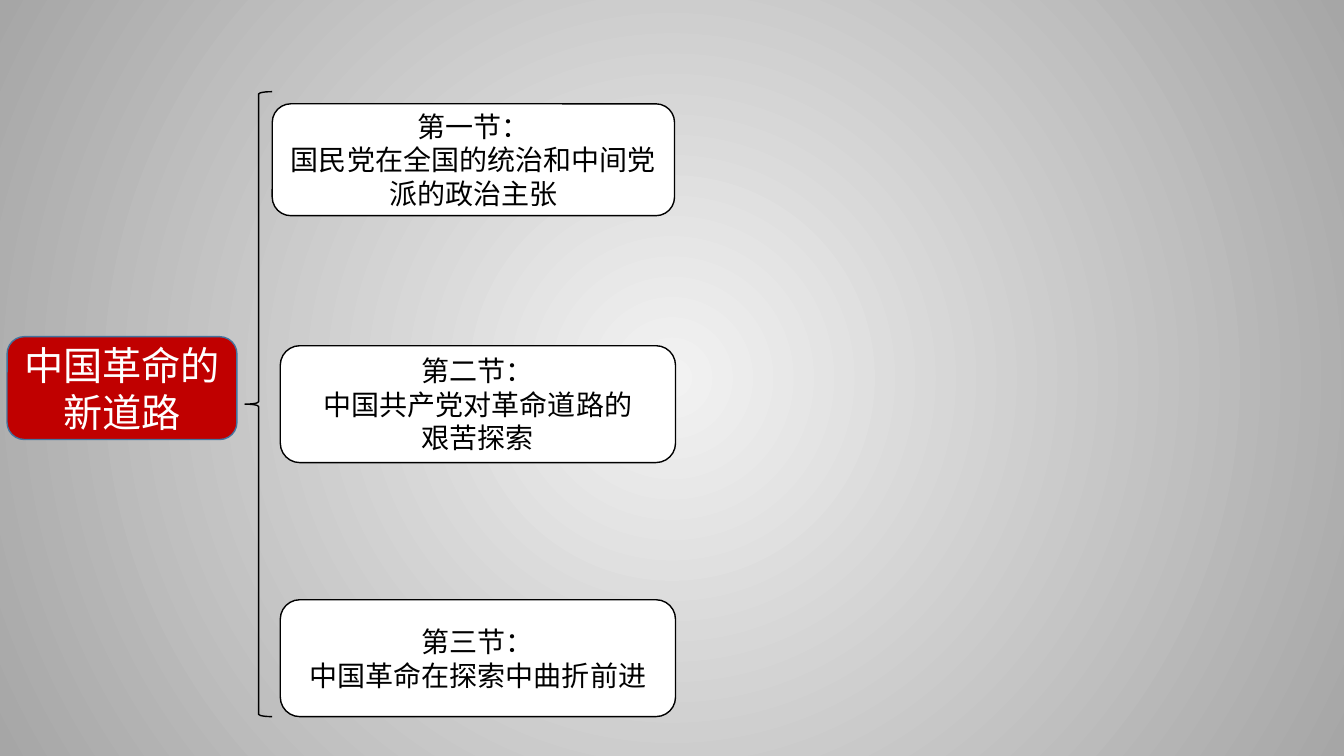
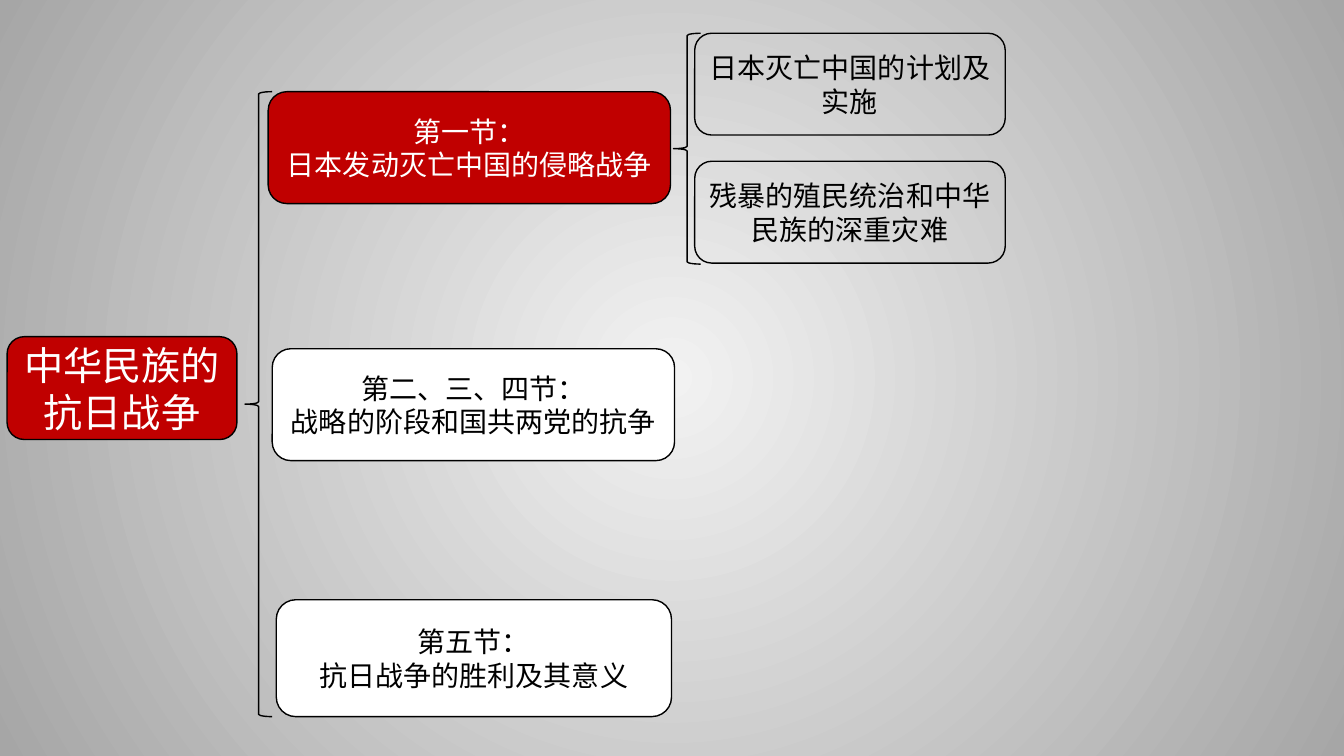
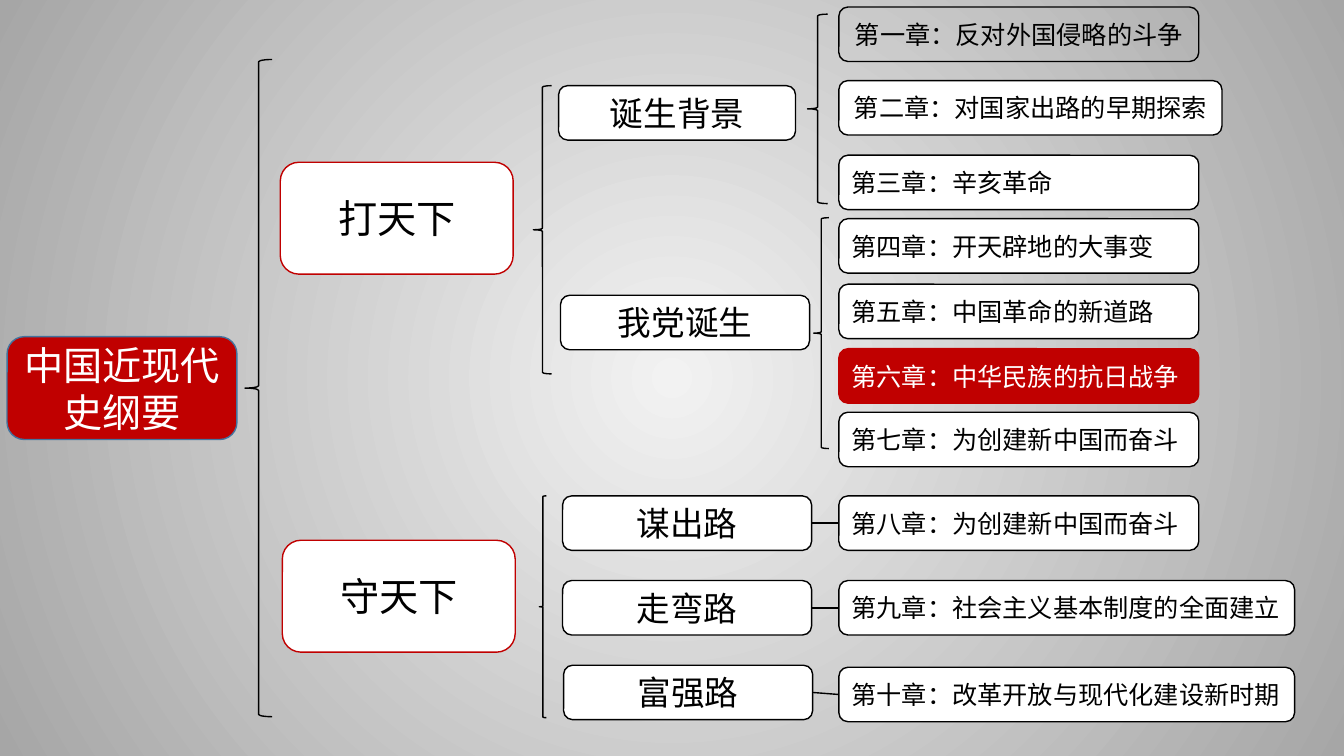
from dataclasses import dataclass, replace
from typing import NamedTuple, Optional

from lxml.etree import SubElement
from pptx import Presentation
from pptx.dml.color import RGBColor
from pptx.enum.shapes import MSO_CONNECTOR, MSO_SHAPE
from pptx.enum.text import MSO_ANCHOR, PP_ALIGN
from pptx.oxml.ns import qn
from pptx.presentation import Presentation as Deck
from pptx.shapes.autoshape import Shape
from pptx.slide import Slide
from pptx.util import Emu, Pt

EMU_PER_PX = 9144
SLIDE_WIDTH, SLIDE_HEIGHT = 1333, 750
FONT = "Noto Sans CJK SC"

BLACK = RGBColor(0x00, 0x00, 0x00)
WHITE = RGBColor(0xFF, 0xFF, 0xFF)
RED = RGBColor(0xC0, 0x00, 0x00)
STEEL = RGBColor(0x43, 0x73, 0x9E)
GLOW = RGBColor(0xF2, 0xF2, 0xF2)
GREY = RGBColor(0xA6, 0xA6, 0xA6)


@dataclass(frozen=True)
class Style:
    size: int
    fill: Optional[RGBColor] = WHITE
    outline: RGBColor = BLACK
    ink: RGBColor = BLACK
    align: PP_ALIGN = PP_ALIGN.CENTER


ROOT = Style(28, RED, STEEL, WHITE)
ROOT_BLACK = replace(ROOT, outline=BLACK)
ERA = Style(28, outline=RED)
STAGE = Style(24)
SECTION = Style(20)
SECTION_ACTIVE = replace(SECTION, fill=RED, ink=WHITE)
TOPIC = replace(SECTION, fill=None)
CHAPTER_CENTERED = Style(18)
CHAPTER_CLEAR = replace(CHAPTER_CENTERED, fill=None)
CHAPTER = replace(CHAPTER_CENTERED, align=PP_ALIGN.LEFT)
CHAPTER_ACTIVE = replace(CHAPTER, fill=RED, outline=RED, ink=WHITE)


class Box(NamedTuple):
    text: str
    left: int
    top: int
    width: int
    height: int
    style: Style


class Brace(NamedTuple):
    left: int
    top: int
    width: int
    height: int


class Link(NamedTuple):
    source: str
    target: str


class Diagram(NamedTuple):
    braces: list[Brace]
    boxes: list[Box]
    links: list[Link]


def root(text: str, style: Style = ROOT) -> Box:
    return Box(text, 7, 334, 228, 102, style)


def stage(text: str, left: int, top: int, width: int = 247) -> Box:
    return Box(text, left, top, width, 54, STAGE)


def chapter(text: str, top: int, width: int = 357, style: Style = CHAPTER) -> Box:
    return Box(text, 832, top, width, 54, style)


SECTION_BRACE = Brace(243, 91, 27, 620)

NEW_ROAD = Diagram(
    [SECTION_BRACE],
    [
        root("中国革命的新道路"),
        Box("第一节：\n国民党在全国的统治和中间党派的政治主张", 270, 103, 399, 111, SECTION),
        Box("第二节：\n中国共产党对革命道路的\n艰苦探索", 278, 343, 392, 116, SECTION),
        Box("第三节：\n中国革命在探索中曲折前进", 278, 595, 392, 116, SECTION),
    ],
    [],
)

WAR = Diagram(
    [SECTION_BRACE, Brace(668, 33, 27, 229)],
    [
        root("中华民族的抗日战争", ROOT_BLACK),
        Box("第一节：\n日本发动灭亡中国的侵略战争", 266, 91, 399, 111, SECTION_ACTIVE),
        Box("第二、三、四节：\n战略的阶段和国共两党的抗争", 270, 346, 399, 111, SECTION),
        Box("第五节：\n抗日战争的胜利及其意义", 274, 595, 392, 116, SECTION),
        Box("日本灭亡中国的计划及实施", 689, 33, 308, 101, TOPIC),
        Box("残暴的殖民统治和中华民族的深重灾难", 689, 160, 308, 101, TOPIC),
    ],
    [],
)

OUTLINE = Diagram(
    [
        Brace(243, 59, 27, 652),
        Brace(529, 85, 18, 286),
        Brace(535, 492, 7, 220),
        Brace(801, 14, 20, 188),
        Brace(807, 216, 15, 229),
    ],
    [
        root("中国近现代史纲要"),
        Box("打天下", 278, 161, 231, 111, ERA),
        Box("守天下", 280, 536, 231, 111, ERA),
        stage("诞生背景", 554, 85, 235),
        stage("我党诞生", 556, 293),
        stage("谋出路", 558, 492),
        stage("走弯路", 558, 576),
        stage("富强路", 559, 660),
        chapter("第一章：反对外国侵略的斗争", 7, style=CHAPTER_CLEAR),
        chapter("第二章：对国家出路的早期探索", 80, 380, CHAPTER_CENTERED),
        chapter("第三章：辛亥革命", 154),
        chapter("第四章：开天辟地的大事变", 217),
        chapter("第五章：中国革命的新道路", 282),
        chapter("第六章：中华民族的抗日战争", 346, style=CHAPTER_ACTIVE),
        chapter("第七章：为创建新中国而奋斗", 409),
        chapter("第八章：为创建新中国而奋斗", 492),
        chapter("第九章：社会主义基本制度的全面建立", 576, 452),
        chapter("第十章：改革开放与现代化建设新时期", 662, 452),
    ],
    [
        Link("谋出路", "第八章：为创建新中国而奋斗"),
        Link("走弯路", "第九章：社会主义基本制度的全面建立"),
        Link("富强路", "第十章：改革开放与现代化建设新时期"),
    ],
)


def px(length: int) -> Emu:
    return Emu(length * EMU_PER_PX)


def paint_background(presentation: Deck) -> None:
    master = presentation.slide_master
    fill = master.background.fill
    fill.gradient()
    for stop, position, color in zip(fill.gradient_stops, (0, 1), (GLOW, GREY)):
        stop.position = position
        stop.color.rgb = color
    gradient = master.element.find(".//" + qn("p:bgPr")).find(qn("a:gradFill"))
    gradient.remove(gradient.find(qn("a:lin")))
    circle = SubElement(gradient, qn("a:path"), {"path": "circle"})
    SubElement(circle, qn("a:fillToRect"), dict.fromkeys("ltrb", "50000"))


def add_outlined(slide: Slide, kind: MSO_SHAPE, item: Box | Brace,
                 fill: Optional[RGBColor], outline: RGBColor) -> Shape:
    shape = slide.shapes.add_shape(
        kind, px(item.left), px(item.top), px(item.width), px(item.height))
    shape.shadow.inherit = False
    if fill is None:
        shape.fill.background()
    else:
        shape.fill.solid()
        shape.fill.fore_color.rgb = fill
    shape.line.color.rgb = outline
    shape.line.width = Pt(1)
    return shape


def draw_box(slide: Slide, box: Box) -> Shape:
    style = box.style
    shape = add_outlined(slide, MSO_SHAPE.ROUNDED_RECTANGLE, box, style.fill, style.outline)
    text_frame = shape.text_frame
    text_frame.word_wrap = True
    text_frame.vertical_anchor = MSO_ANCHOR.MIDDLE
    text_frame.text = box.text
    for paragraph in text_frame.paragraphs:
        paragraph.alignment = style.align
        for run in paragraph.runs:
            run.font.size = Pt(style.size)
            run.font.color.rgb = style.ink
            run.font.name = FONT
            SubElement(run.font._element, qn("a:ea"), {"typeface": FONT})
    return shape


def draw_link(slide: Slide, source: Shape, target: Shape) -> None:
    connector = slide.shapes.add_connector(MSO_CONNECTOR.STRAIGHT, 0, 0, 0, 0)
    connector.begin_connect(source, 3)
    connector.end_connect(target, 1)
    connector.line.color.rgb = BLACK
    connector.line.width = Pt(1)
    SubElement(connector.element.spPr, qn("a:effectLst"))


def draw_diagram(presentation: Deck, diagram: Diagram) -> None:
    slide = presentation.slides.add_slide(presentation.slide_layouts[6])
    for brace in diagram.braces:
        add_outlined(slide, MSO_SHAPE.LEFT_BRACE, brace, None, BLACK)
    shapes = {box.text: draw_box(slide, box) for box in diagram.boxes}
    for link in diagram.links:
        draw_link(slide, shapes[link.source], shapes[link.target])


def main() -> None:
    presentation = Presentation()
    presentation.slide_width = px(SLIDE_WIDTH)
    presentation.slide_height = px(SLIDE_HEIGHT)
    paint_background(presentation)
    for diagram in (NEW_ROAD, WAR, OUTLINE):
        draw_diagram(presentation, diagram)
    presentation.save("out.pptx")


if __name__ == "__main__":
    main()
